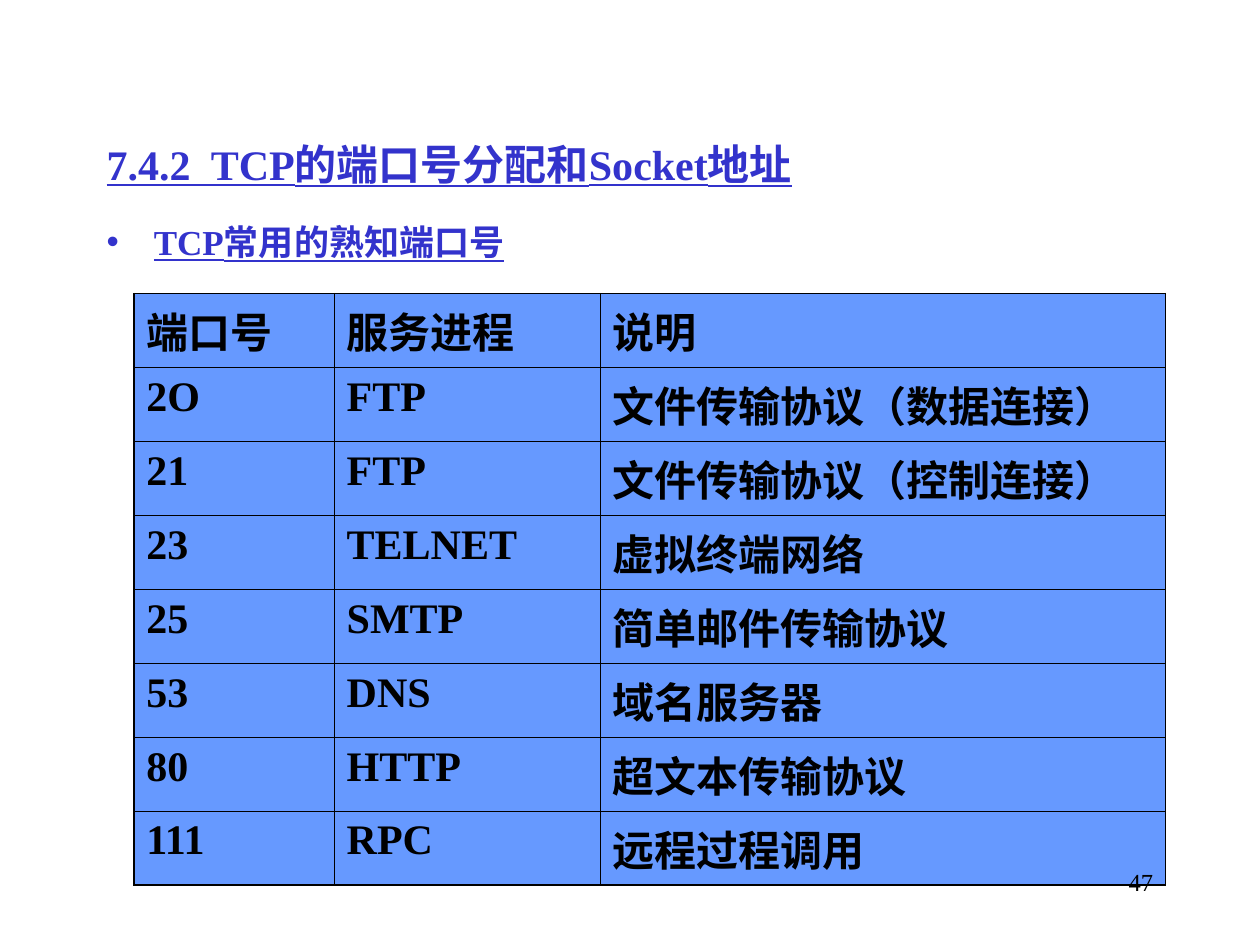
from lxml import etree
from pptx import Presentation
from pptx.dml.color import RGBColor
from pptx.enum.lang import MSO_LANGUAGE_ID
from pptx.enum.text import MSO_ANCHOR, MSO_AUTO_SIZE, PP_ALIGN
from pptx.oxml.ns import qn
from pptx.util import Cm, Pt

BLUE = RGBColor(0x33, 0x33, 0xCC)
BLACK = RGBColor(0x00, 0x00, 0x00)
CELL_FILL = RGBColor(0x66, 0x99, 0xFF)
FONT = "Times New Roman"
CHINESE = MSO_LANGUAGE_ID.SIMPLIFIED_CHINESE
LEFT, RIGHT = PP_ALIGN.LEFT, PP_ALIGN.RIGHT
TOP, MIDDLE = MSO_ANCHOR.TOP, MSO_ANCHOR.MIDDLE
NO_AUTOFIT = MSO_AUTO_SIZE.NONE

HANGING = Cm(0.95)
INSET_X, INSET_Y = Cm(0.25), Cm(0.13)
THIN, THICK = Pt(0.45), Pt(0.96)
COLUMN_WIDTHS = [Cm(4.04), Cm(5.36), Cm(11.4)]
PORTS = [
    ("端口号", "服务进程", "说明"),
    ("2O", "FTP", "文件传输协议（数据连接）"),
    ("21", "FTP", "文件传输协议（控制连接）"),
    ("23", "TELNET", "虚拟终端网络"),
    ("25", "SMTP", "简单邮件传输协议"),
    ("53", "DNS", "域名服务器"),
    ("80", "HTTP", "超文本传输协议"),
    ("111", "RPC", "远程过程调用"),
]


def add_run(p, text, size, color, bold=False, underline=False):
    r = p.add_run()
    r.text = text
    font = r.font
    font.name, font.size, font.bold = FONT, Pt(size), bold
    font.underline = underline
    font.color.rgb = color
    font.language_id = CHINESE


def set_hanging(p):
    pPr = p._p.get_or_add_pPr()
    pPr.set("marL", str(HANGING))
    pPr.set("indent", str(-HANGING))
    return pPr


def place_text(sp, box, anchor, align):
    """Position a text shape and return its first paragraph."""
    sp.left, sp.top, sp.width, sp.height = box
    tf = sp.text_frame
    tf.word_wrap = True
    tf.auto_size = NO_AUTOFIT
    tf.vertical_anchor = anchor
    tf.margin_left = tf.margin_right = INSET_X
    tf.margin_top = tf.margin_bottom = INSET_Y
    p = tf.paragraphs[0]
    p.alignment = align
    p.space_before = Pt(0)
    return p


def fill_title(sp, box):
    p = place_text(sp, box, MIDDLE, LEFT)
    add_run(p, "7.4.2  TCP的端口号分配和Socket地址", 24, BLUE, True, True)


def fill_body(sp, box):
    p = place_text(sp, box, TOP, LEFT)
    pPr = set_hanging(p)
    color = etree.SubElement(pPr, qn("a:buClr"))
    etree.SubElement(color, qn("a:srgbClr"), val=str(BLUE))
    etree.SubElement(pPr, qn("a:buChar"), char="•")
    add_run(p, "TCP常用的熟知端口号", 20, BLUE, True, True)


def set_borders(cell, widths):
    """Draw black borders; widths maps the sides L, R, T, B to line widths."""
    tcPr = cell._tc.get_or_add_tcPr()
    for side, width in widths.items():
        ln = etree.SubElement(tcPr, qn(f"a:ln{side}"), w=str(width))
        fill = etree.SubElement(ln, qn("a:solidFill"))
        etree.SubElement(fill, qn("a:srgbClr"), val=str(BLACK))


def add_port_table(slide, left, top, row_height):
    last_row, last_col = len(PORTS) - 1, len(COLUMN_WIDTHS) - 1
    table = slide.shapes.add_table(
        len(PORTS), len(COLUMN_WIDTHS), left, top,
        sum(COLUMN_WIDTHS), row_height * len(PORTS)).table
    table.first_row = table.horz_banding = False
    for column, width in zip(table.columns, COLUMN_WIDTHS):
        column.width = width
    for i, texts in enumerate(PORTS):
        for j, text in enumerate(texts):
            cell = table.cell(i, j)
            cell.margin_left = cell.margin_right = INSET_X
            cell.margin_top = cell.margin_bottom = INSET_Y
            set_borders(cell, {
                "L": THICK if j == 0 else THIN,
                "R": THICK if j == last_col else THIN,
                "T": THICK if i == 0 else THIN,
                "B": THICK if i == last_row else THIN,
            })
            cell.fill.solid()
            cell.fill.fore_color.rgb = CELL_FILL
            p = cell.text_frame.paragraphs[0]
            set_hanging(p)
            add_run(p, text, 24, BLACK, True)


def add_page_number(slide, box):
    sp = slide.shapes.add_textbox(*box)
    add_run(place_text(sp, box, TOP, RIGHT), "47", 14, BLACK)


def main():
    prs = Presentation()
    prs.slide_width, prs.slide_height = Cm(25.4), Cm(19.05)
    slide = prs.slides.add_slide(prs.slide_layouts[1])
    fill_title(slide.shapes.title, (Cm(1.9), Cm(1.7), Cm(21.6), Cm(3.18)))
    fill_body(slide.placeholders[1], (Cm(1.9), Cm(4.32), Cm(10.6), Cm(12.6)))
    add_port_table(slide, Cm(2.7), Cm(5.92), Cm(1.49))
    add_page_number(slide, (Cm(18.2), Cm(17.35), Cm(5.3), Cm(1.27)))
    prs.save("out.pptx")


if __name__ == "__main__":
    main()
